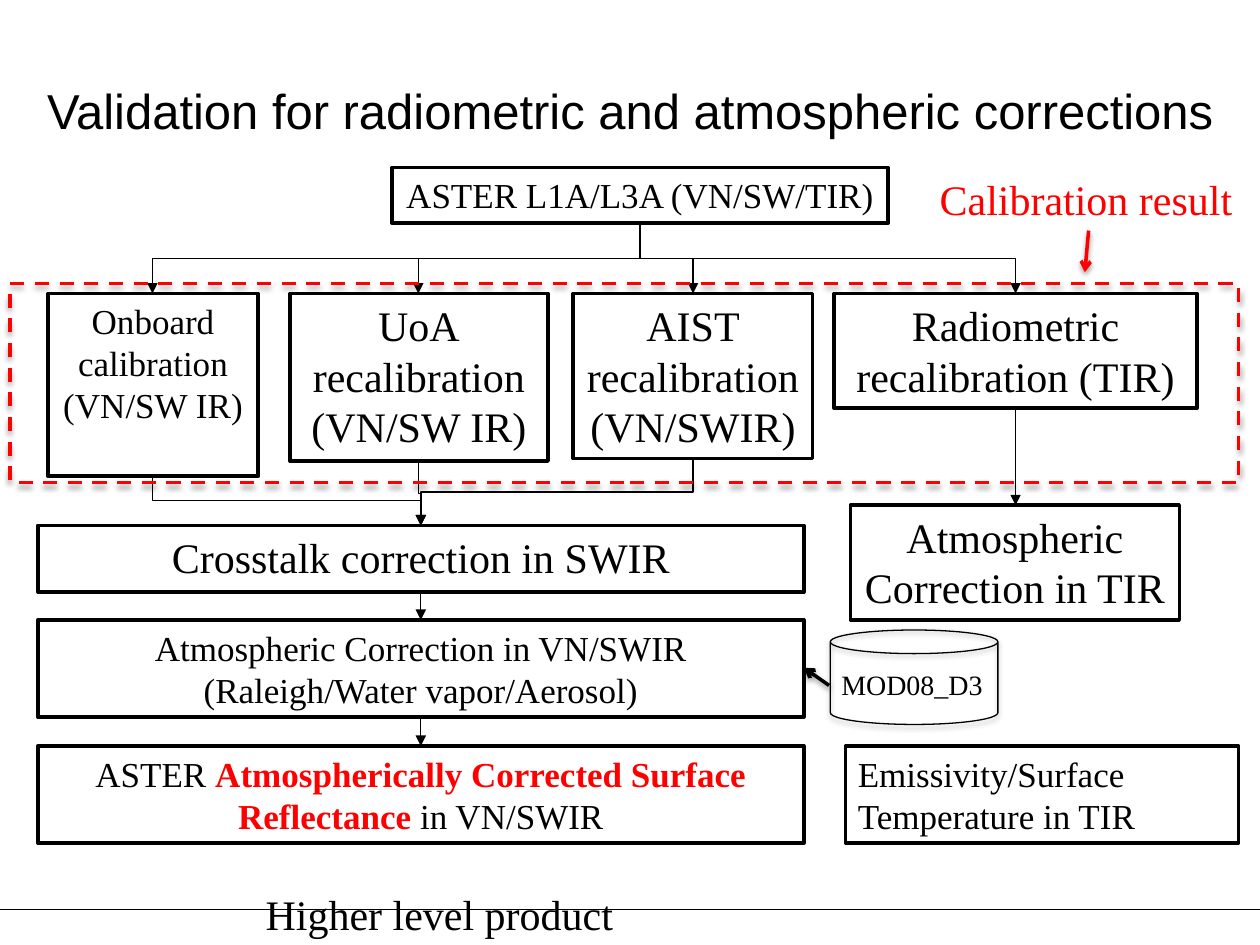
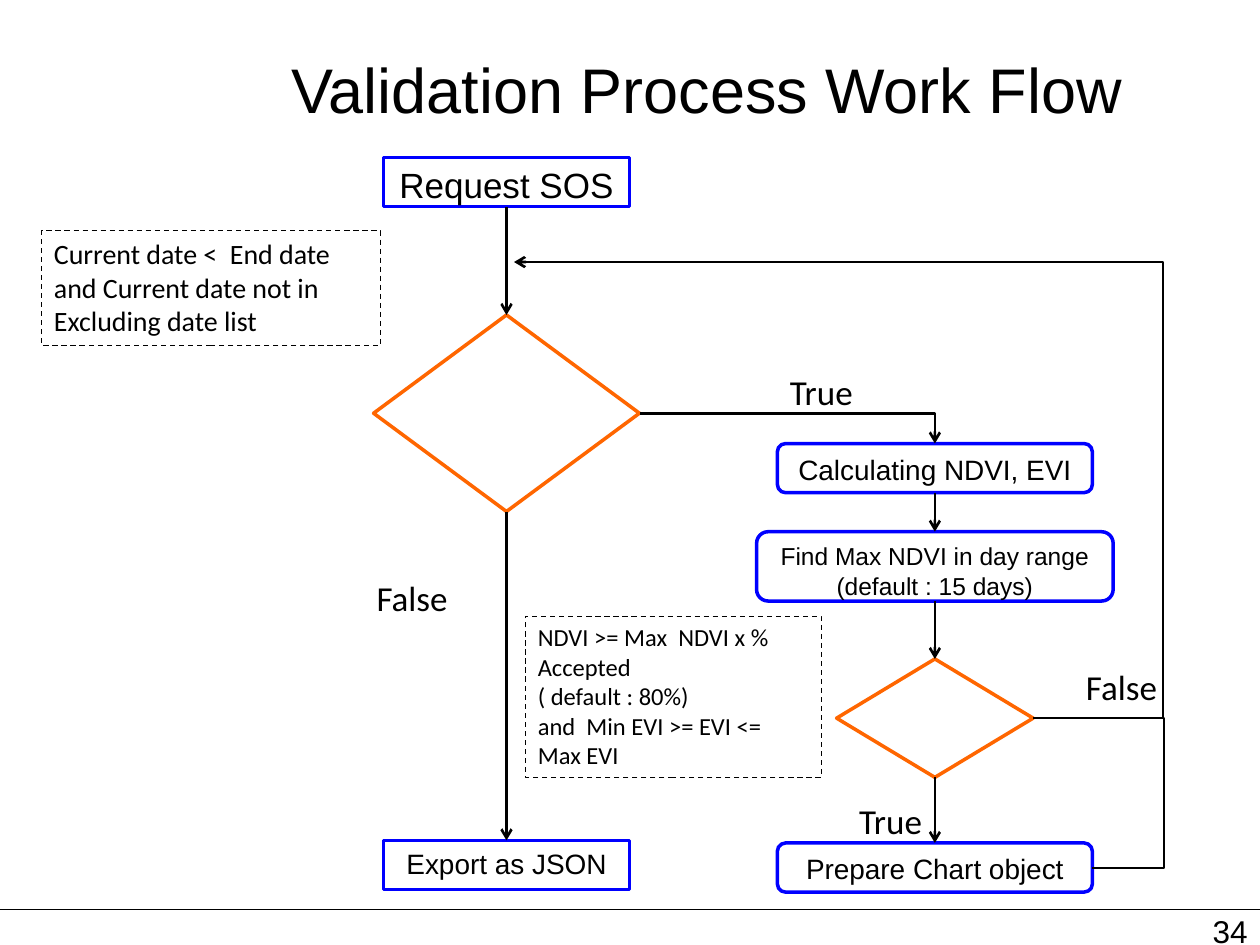
import pptx
import pptx.util
import pptx.dml.color
import pptx.enum.dml
import pptx.enum.shapes
import pptx.enum.text
import pptx.oxml.ns
from lxml import etree

Inches = pptx.util.Inches
Pt = pptx.util.Pt
RGBColor = pptx.dml.color.RGBColor
Kind = pptx.enum.shapes.MSO_SHAPE
Link = pptx.enum.shapes.MSO_CONNECTOR
Align = pptx.enum.text.PP_ALIGN
Anchor = pptx.enum.text.MSO_ANCHOR
qn = pptx.oxml.ns.qn

BLACK = RGBColor(0, 0, 0)
WHITE = RGBColor(255, 255, 255)
RED = RGBColor(255, 0, 0)
BLUE = RGBColor(0, 0, 255)
ORANGE = RGBColor(255, 102, 0)
SERIF, SANS, NOTE = "Times New Roman", "Arial", "Calibri"


class Deck:
    def __init__(self):
        self.show = pptx.Presentation()
        self.show.slide_width = Inches(10)
        self.show.slide_height = Inches(7.5)
        self.slide = None
        self.font = SANS
        self.width = 0.75
        self.head = None

    def start(self, title, at, size, font, width, head):
        """Add a slide; font, line width and arrowhead become its defaults."""
        self.slide = self.show.slides.add_slide(self.show.slide_layouts[5])
        self.font, self.width, self.head = font, width, head
        self.line((0, 7.22), (10, 7.22), head=None, width=0.75)
        item = self.slide.shapes.title
        item.left, item.top, item.width, item.height = map(Inches, at)
        self.fit(item, title, size, SANS, Align.CENTER, anchor=Anchor.MIDDLE)

    def fit(self, item, text, size, font=None, align=Align.LEFT,
            color=BLACK, wrap=True, anchor=Anchor.TOP):
        """Set the text of a shape and format all of it."""
        frame = item.text_frame
        frame.text = text
        frame.word_wrap = wrap
        frame.auto_size = pptx.enum.text.MSO_AUTO_SIZE.NONE
        frame.vertical_anchor = anchor
        for para in frame.paragraphs:
            para.alignment = align
            for run in para.runs:
                self.style(run, size, font, color)

    def style(self, run, size, font=None, color=BLACK, bold=False):
        run.font.size = Pt(size)
        run.font.name = font or self.font
        run.font.color.rgb = color
        run.font.bold = bold

    def shade(self, item, alpha=0):
        """Replace the theme shadow by none, or by a soft one of this opacity."""
        effects = etree.SubElement(item.element.spPr, qn("a:effectLst"))
        if alpha:
            drop = etree.SubElement(
                effects, qn("a:outerShdw"), blurRad=str(Pt(3.1)),
                dist=str(Pt(1.7)), dir="5400000", rotWithShape="0")
            tone = etree.SubElement(drop, qn("a:srgbClr"), val="000000")
            etree.SubElement(tone, qn("a:alpha"), val=str(alpha * 1000))

    def box(self, at, text="", size=20, kind=Kind.RECTANGLE, color=BLACK,
            fill=None, width=2, dash=False, shadow=0, **look):
        item = self.slide.shapes.add_shape(kind, *map(Inches, at))
        if fill is None:
            item.fill.background()
        else:
            item.fill.solid()
            item.fill.fore_color.rgb = fill
        item.line.color.rgb = color
        item.line.width = Pt(width)
        if dash:
            item.line.dash_style = pptx.enum.dml.MSO_LINE.DASH
        self.shade(item, shadow)
        if text:
            self.fit(item, text, size, **{"align": Align.CENTER, **look})
        return item

    def label(self, at, text, size, **look):
        item = self.slide.shapes.add_textbox(*map(Inches, at))
        self.fit(item, text, size, **look)

    def line(self, start, end, kind=Link.STRAIGHT, head="", color=BLACK,
             width=None, shadow=0):
        item = self.slide.shapes.add_connector(
            kind, *map(Inches, (*start, *end)))
        item.line.color.rgb = color
        item.line.width = Pt(width or self.width)
        head = self.head if head == "" else head
        if head:
            etree.SubElement(item.element.spPr.get_or_add_ln(),
                             qn("a:tailEnd"), type=head)
        self.shade(item, shadow)
        return item

    def drop(self, start, end):
        """Arrow that runs down, across at half height, and down again."""
        (x1, y1), (x2, y2) = start, end
        if x1 == x2:
            self.line(start, end)
            return
        midx, midy = (x1 + x2) / 2, (y1 + y2) / 2
        half, rise = (y2 - y1) / 2, abs(x2 - x1) / 2
        turn = 90
        if x2 > x1:
            half, turn = -half, 270
        item = self.line((midx - half, midy - rise),
                         (midx + half, midy + rise), Link.ELBOW)
        item.element.spPr.find(qn("a:xfrm")).set("rot", str(turn * 60000))

    def bend(self, start, end, turn=None, **look):
        """Elbow that starts sideways and turns at x = turn, or at its end."""
        item = self.line(start, end, Link.ELBOW, **look)
        shape = item.element.spPr.find(qn("a:prstGeom"))
        if turn is None:
            shape.set("prst", "bentConnector2")
        else:
            part = (turn - start[0]) / (end[0] - start[0])
            guides = shape.find(qn("a:avLst"))
            if guides is None:
                guides = etree.SubElement(shape, qn("a:avLst"))
            etree.SubElement(guides, qn("a:gd"), name="adj1",
                             fmla=f"val {round(part * 100000)}")


def draw_levels(deck):
    deck.start("Validation for radiometric and atmospheric corrections",
               (0.25, 0.25, 9.5, 1.25), 28, SERIF, 0.75, "triangle")
    root, hub = (5.08, 1.77), 3.34
    left, wide = 0.3, 6.08

    deck.box((3.11, 1.33, 3.94, 0.44), "ASTER L1A/L3A (VN/SW/TIR)", wrap=False)
    sources = [
        (0.38, 1.67, 1.45, 20, "Onboard\ncalibration\n(VN/SW IR)"),
        (2.3, 2.05, 1.33, 24, "UoA\nrecalibration\n(VN/SW IR)"),
        (4.55, 1.9, 1.31, 24, "AIST\nrecalibration\n(VN/SWIR)"),
        (6.62, 2.88, 0.91, 24, "Radiometric recalibration (TIR)"),
    ]
    for x, width, height, size, text in sources:
        top, mid = 2.33, round(x + width / 2, 2)
        thermal = "TIR" in text
        deck.box((x, top, width, height), text, size, wrap=thermal)
        deck.drop(root, (mid, top))
        deck.drop((mid, top + height), (mid, 4.01) if thermal else (hub, 4.17))

    deck.box((left, 4.17, wide, 0.53), "Crosstalk correction in SWIR", 24)
    deck.box((left, 4.92, wide, 0.77),
             "Atmospheric Correction in VN/SWIR\n(Raleigh/Water vapor/Aerosol)")
    final = deck.box((left, 5.92, wide, 0.77), "ASTER ")
    para = final.text_frame.paragraphs[0]
    for text, color, bold in [
            ("Atmospherically Corrected Surface Reflectance ", RED, True),
            ("in VN/SWIR", BLACK, False)]:
        run = para.add_run()
        run.text = text
        deck.style(run, 20, color=color, bold=bold)
    for start, end in [(4.7, 4.92), (5.69, 5.92)]:
        deck.drop((hub, start), (hub, end))

    deck.box((6.75, 4.01, 2.61, 0.91), "Atmospheric\nCorrection in TIR", 24,
             wrap=False)
    deck.box((6.71, 5.92, 3.12, 0.77),
             "Emissivity/Surface\nTemperature in TIR", align=Align.LEFT)

    deck.box((6.59, 5, 1.33, 0.75), kind=Kind.CAN, width=0.75, shadow=35)
    deck.label((6.58, 5.25, 1.34, 0.37), "MOD08_D3", 16, wrap=False)
    deck.line((6.58, 5.44), (6.38, 5.3), head="arrow", width=2, shadow=38)

    deck.box((0.08, 2.25, 9.75, 1.58), color=RED, dash=True, shadow=35)
    deck.label((7.36, 1.33, 2.56, 0.51), "Calibration result", 24,
               color=RED, wrap=False)
    deck.line((8.64, 1.83), (8.61, 2.16), head="arrow", color=RED, width=2,
              shadow=38)
    deck.label((2.01, 7, 2.99, 0.5), "Higher level product", 24, wrap=False)


def draw_flow(deck):
    deck.start("Validation Process Work Flow", (1.72, 0.08, 7.78, 1.25), 36,
               SANS, 1.5, "arrow")
    main, side = 4.02, 7.42

    for mid, top, width, height in [(main, 2.5, 2.11, 1.56),
                                    (side, 5.23, 1.56, 0.94)]:
        deck.box((mid - width / 2, top, width, height), kind=Kind.DIAMOND,
                 color=ORANGE, fill=WHITE)

    square, rounded = Kind.RECTANGLE, Kind.ROUNDED_RECTANGLE
    for mid, top, width, height, kind, size, text in [
            (main, 1.25, 1.95, 0.39, square, 20, "Request SOS"),
            (main, 6.67, 1.95, 0.39, square, 16, "Export as JSON"),
            (side, 3.52, 2.5, 0.39, rounded, 16, "Calculating NDVI, EVI"),
            (side, 4.22, 2.83, 0.55, rounded, 14,
             "Find Max NDVI in day range (default : 15 days)"),
            (side, 6.69, 2.5, 0.39, rounded, 16, "Prepare Chart object")]:
        deck.box((mid - width / 2, top, width, height), text, size, kind,
                 BLUE, WHITE)

    for at, size, text in [
            ((0.33, 1.83, 2.69, 0.91), 16,
             "Current date <  End date\n"
             "and Current date not in Excluding date list"),
            ((4.17, 4.89, 2.35, 1.28), 14,
             "NDVI >= Max  NDVI x % Accepted\n( default : 80%)\n"
             "and  Min EVI >= EVI <= Max EVI")]:
        deck.box(at, text, size, width=0.75, dash=True, font=NOTE,
                 align=Align.LEFT)

    for mid, start, end in [(main, 1.64, 2.5), (main, 4.06, 6.67),
                            (side, 3.91, 4.22), (side, 4.77, 5.23),
                            (side, 6.17, 6.69)]:
        deck.drop((mid, start), (mid, end))
    deck.bend((5.08, 3.28), (side, 3.52))
    deck.bend((8.2, 5.7), (4.08, 2.08), turn=9.23)
    deck.bend((8.67, 6.89), (8.2, 5.7), turn=9.24, head=None)

    for x, y, text in [(2.89, 4.53, "False"), (8.52, 5.23, "False"),
                       (6.72, 6.3, "True"), (6.17, 2.89, "True")]:
        deck.label((x, y, 0.86, 0.44), text, 20, font=NOTE)
    deck.label((7.67, 7.19, 2.33, 0.55), "34", 18, align=Align.RIGHT)


def main():
    deck = Deck()
    draw_levels(deck)
    draw_flow(deck)
    deck.show.save("out.pptx")


if __name__ == "__main__":
    main()
